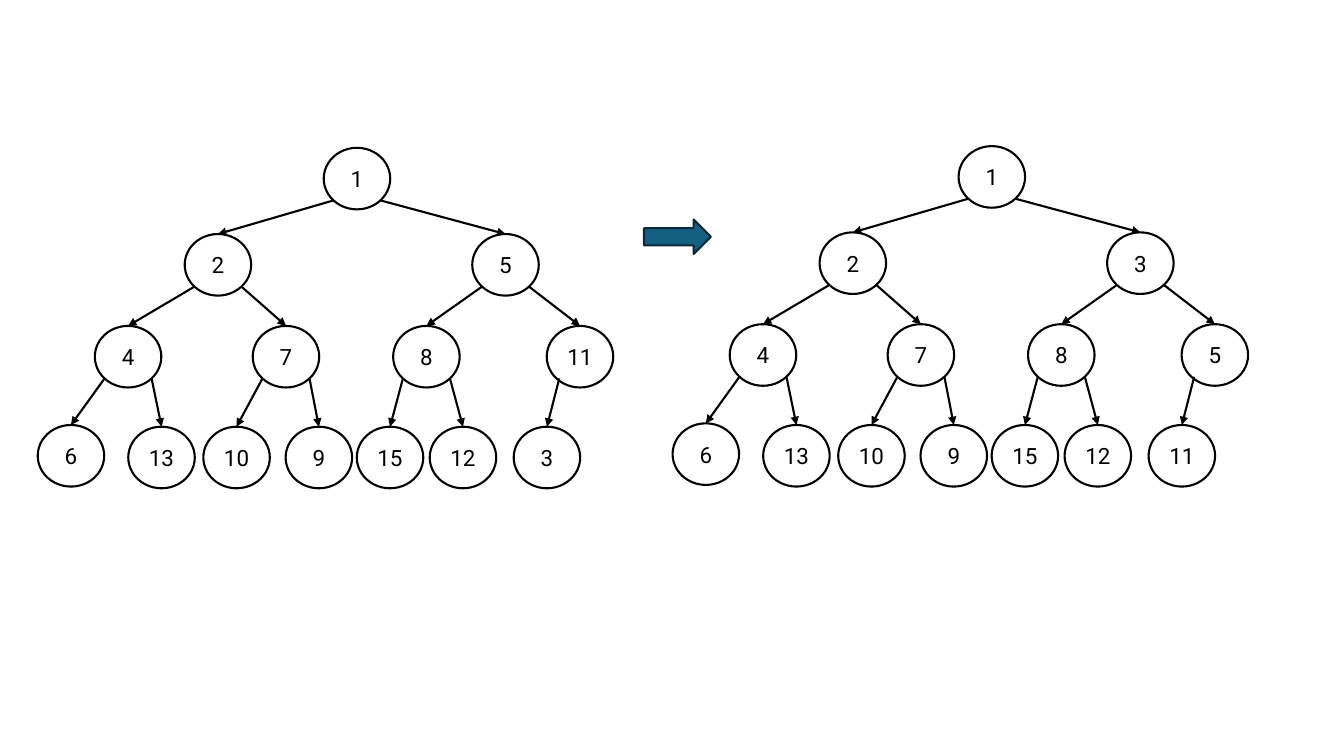
from lxml import etree
from pptx import Presentation
from pptx.dml.color import RGBColor
from pptx.enum import shapes, text
from pptx.oxml.ns import qn
from pptx.util import Pt

COLORS = {"ink": "000000", "node": "FFFFFF", "arrow": "156082", "arrow_edge": "092A39"}
NODE_W, NODE_H = 47.5, 44
DIAG = 0.5 ** 0.5 / 2

NODES = [
    (255, 105.6),
    (155.7, 167.2), (361.1, 167.2),
    (91.5, 232.8), (204.3, 232.8), (304.6, 232.8), (414.3, 232.8),
    (50.7, 303.6), (115.4, 304.8), (169, 304.8), (227.8, 304.8),
    (278.6, 304.8), (330.7, 304.8), (390.7, 304.8),
]
START_SHIFT = {13: 2}
HEAPS = [
    (0, 0, [1, 2, 5, 4, 7, 8, 11, 6, 13, 10, 9, 15, 12, 3]),
    (453.5, -1.2, [1, 2, 3, 4, 7, 8, 5, 6, 13, 10, 9, 15, 12, 11]),
]


class HeapSlide:
    """Draws binary heaps on a slide in one shared style."""

    def __init__(self, s, font="Roboto", size=16, weight=1.5):
        self.s, self.font, self.size, self.weight = s, font, size, weight

    def color(self, name):
        return RGBColor.from_string(COLORS[name])

    def outline(self, line, name):
        line.color.rgb = self.color(name)
        line.width = Pt(self.weight)

    def shape(self, kind, x, y, w, h, fill, edge):
        sp = self.s.shapes.add_shape(kind, Pt(x), Pt(y), Pt(w), Pt(h))
        sp.shadow.inherit = False
        sp.fill.solid()
        sp.fill.fore_color.rgb = self.color(fill)
        self.outline(sp.line, edge)
        return sp

    def node(self, cx, top, value):
        sp = self.shape(shapes.MSO_SHAPE.OVAL, cx - NODE_W / 2, top,
                        NODE_W, NODE_H, "node", "ink")
        tf = sp.text_frame
        tf.margin_left = tf.margin_right = 0
        tf.vertical_anchor = text.MSO_ANCHOR.MIDDLE
        p = tf.paragraphs[0]
        p.text = str(value)
        p.alignment = text.PP_ALIGN.CENTER
        p.font.name, p.font.size = self.font, Pt(self.size)
        p.font.color.rgb = self.color("ink")

    def edge(self, x1, y1, x2, y2):
        c = self.s.shapes.add_connector(shapes.MSO_CONNECTOR.STRAIGHT,
                                        Pt(x1), Pt(y1), Pt(x2), Pt(y2))
        self.outline(c.line, "ink")
        ln = c.line._get_or_add_ln()
        etree.SubElement(ln, qn("a:tailEnd"), type="triangle")
        etree.SubElement(c._element.spPr, qn("a:effectLst"))

    def heap(self, dx, dy, values):
        for i, ((cx, top), value) in enumerate(zip(NODES, values)):
            self.node(cx + dx, top + dy, value)
            if i:
                px, py = NODES[(i - 1) // 2]
                side = -1 if i % 2 else 1
                x = px + side * NODE_W * DIAG + START_SHIFT.get(i, 0)
                y = py + NODE_H * (0.5 + DIAG)
                self.edge(x + dx, y + dy, cx + dx, top + dy)

    def arrow(self, x, y, w, h):
        self.shape(shapes.MSO_SHAPE.RIGHT_ARROW, x, y, w, h, "arrow", "arrow_edge")


def main():
    prs = Presentation()
    prs.slide_width, prs.slide_height = Pt(960), Pt(540)
    slide = HeapSlide(prs.slides.add_slide(prs.slide_layouts[6]))
    for dx, dy, values in HEAPS:
        slide.heap(dx, dy, values)
    slide.arrow(460, 156.8, 47.8, 24.6)
    prs.save("out.pptx")


if __name__ == "__main__":
    main()
